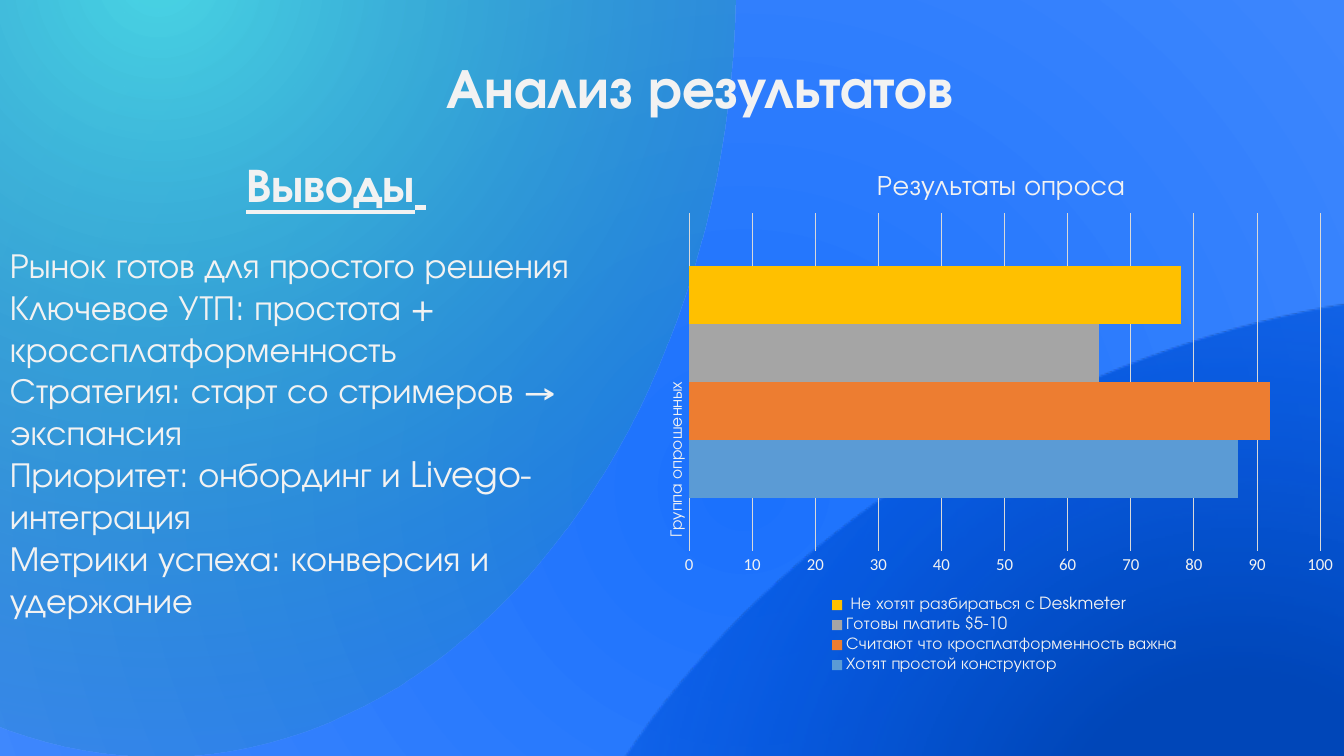
from dataclasses import dataclass

from pptx import Presentation
from pptx import util as u
from pptx.chart import data as chart_data
from pptx.dml import color
from pptx.enum import chart as charts, shapes, text
from pptx.oxml import ns, parse_xml


@dataclass(frozen=True)
class Theme:
    face: str = "TeX Gyre Adventor"
    plain_face: str = "Calibri"
    ink: str = "F2F2F2"
    grid: str = "D9D9D9"
    title: int = 40
    heading: int = 34
    body: int = 25
    chart_title: int = 20
    label: int = 12
    blue: tuple = ((0, "1B71FD", 100), (100, "72A7FE", 100))
    teal: tuple = ((0, "4AD6E5", 100), (100, "137C87", 0))
    navy: tuple = ((0, "0046B8", 100), (15, "0046B8", 100),
                   (40, "0153D9", 80), (100, "156EFF", 0))


THEME = Theme()

GLOWS = (
    ((-2.08, -5.61, 18.92, 20.9), 25.8, THEME.blue),
    ((-6.18, -5.97, 15.5, 11.44), 270, THEME.teal),
    ((4.67, 3.62, 15.28, 9.94), 331.6, THEME.navy),
)

CONCLUSIONS = (
    "Рынок готов для простого решения",
    "Ключевое УТП: простота + кроссплатформенность",
    "Стратегия: старт со стримеров → экспансия",
    "Приоритет: онбординг и Livego-интеграция",
    "Метрики успеха: конверсия и удержание",
)

SURVEY = (
    ("Хотят простой конструктор", 87, "5B9BD5"),
    ("Считают что кросплатформенность важна", 92, "ED7D31"),
    ("Готовы платить $5-10", 65, "A5A5A5"),
    (" Не хотят разбираться с Deskmeter", 78, "FFC000"),
)


def rgb(value):
    return color.RGBColor.from_string(value)


def inches(box):
    return [u.Inches(length) for length in box]


def style_font(font, size, face=THEME.face, **traits):
    font.size = u.Pt(size)
    font.name = face
    font.color.rgb = rgb(THEME.ink)
    for trait, value in traits.items():
        setattr(font, trait, value)


def add_span(para, words, size, **traits):
    span = para.add_run()
    span.text = words
    style_font(span.font, size, **traits)


def add_frame(page, box):
    frame = page.shapes.add_textbox(*inches(box)).text_frame
    frame.word_wrap = True
    return frame


def add_glow(page, box, angle, stops):
    glow = page.shapes.add_shape(shapes.MSO_SHAPE.OVAL, *inches(box))
    glow.rotation = angle
    glow.shadow.inherit = False
    glow.line.fill.background()
    glow.fill.background()
    marks = "".join(
        f'<a:gs pos="{place * 1000}"><a:srgbClr val="{tint}">'
        f'<a:alpha val="{alpha * 1000}"/></a:srgbClr></a:gs>'
        for place, tint, alpha in stops)
    gradient = parse_xml(
        f'<a:gradFill {ns.nsdecls("a")} rotWithShape="1"><a:gsLst>{marks}</a:gsLst>'
        '<a:path path="circle"><a:fillToRect l="50000" t="50000" r="50000" b="50000"/>'
        '</a:path></a:gradFill>')
    properties = glow._element.spPr
    properties.replace(properties.find(ns.qn("a:noFill")), gradient)


def add_title(page, box):
    para = add_frame(page, box).paragraphs[0]
    add_span(para, "Анализ результатов", THEME.title, bold=True)


def add_conclusions(page, box):
    frame = add_frame(page, box)
    heading = frame.paragraphs[0]
    heading.alignment = text.PP_ALIGN.CENTER
    heading.space_after = u.Pt(22)
    add_span(heading, "Выводы", THEME.heading, bold=True, underline=True)
    add_span(heading, " ", THEME.heading, face=THEME.plain_face, bold=True, underline=True)
    for conclusion in CONCLUSIONS:
        add_span(frame.add_paragraph(), conclusion, THEME.body)


def manual_layout(x, y, width, height, inner=False):
    target = '<c:layoutTarget val="inner"/>' if inner else ""
    return parse_xml(
        f'<c:layout {ns.nsdecls("c")}><c:manualLayout>{target}'
        '<c:xMode val="edge"/><c:yMode val="edge"/>'
        f'<c:x val="{x}"/><c:y val="{y}"/><c:w val="{width}"/><c:h val="{height}"/>'
        '</c:manualLayout></c:layout>')


def style_axes(chart):
    groups, scale = chart.category_axis, chart.value_axis
    for axis, face in ((groups, THEME.face), (scale, THEME.plain_face)):
        axis.major_tick_mark = charts.XL_TICK_MARK.NONE
        axis.minor_tick_mark = charts.XL_TICK_MARK.NONE
        style_font(axis.tick_labels.font, THEME.label, face=face)
    groups._element.txPr.find(ns.qn("a:bodyPr")).set("rot", "-5400000")
    scale.minimum_scale, scale.maximum_scale, scale.major_unit = 0, 100, 10
    scale.format.line.fill.background()
    for line in (groups.format.line, scale.major_gridlines.format.line):
        line.color.rgb = rgb(THEME.grid)
        line.width = u.Pt(0.75)


def add_survey(page, box):
    source = chart_data.CategoryChartData()
    source.categories = ["Группа опрошенных"]
    for name, share, _ in SURVEY:
        source.add_series(name, [share])
    chart = page.shapes.add_chart(
        charts.XL_CHART_TYPE.BAR_CLUSTERED, *inches(box), source).chart
    style_font(chart.font, THEME.label)
    chart.has_title = True
    add_span(chart.chart_title.text_frame.paragraphs[0], "Результаты опроса",
             THEME.chart_title, bold=False)
    plot = chart.plots[0]
    plot.gap_width = 182
    plot.vary_by_categories = False
    for series, (_, _, tint) in zip(plot.series, SURVEY):
        series.format.fill.solid()
        series.format.fill.fore_color.rgb = rgb(tint)
    style_axes(chart)
    chart.has_legend = True
    legend = chart.legend
    legend.position = charts.XL_LEGEND_POSITION.BOTTOM
    legend.include_in_layout = False
    style_font(legend.font, THEME.label)
    legend._element.find(ns.qn("c:legendPos")).addnext(
        manual_layout(0.25, 0.84, 0.51, 0.16))
    area = chart._chartSpace.chart.plotArea
    for layout in area.findall(ns.qn("c:layout")):
        area.remove(layout)
    area.insert(0, manual_layout(0.05, 0.12, 0.91, 0.64, inner=True))


def build_results(page):
    for box, angle, stops in GLOWS:
        add_glow(page, box, angle, stops)
    add_title(page, (4.33, 0.47, 8.02, 0.77))
    add_conclusions(page, (0, 1.49, 6.67, 5.37))
    add_survey(page, (6.49, 1.49, 6.88, 5.23))


def main():
    deck = Presentation()
    deck.slide_width, deck.slide_height = inches((13.33, 7.5))
    build_results(deck.slides.add_slide(deck.slide_layouts[6]))
    deck.save("out.pptx")


if __name__ == "__main__":
    main()
